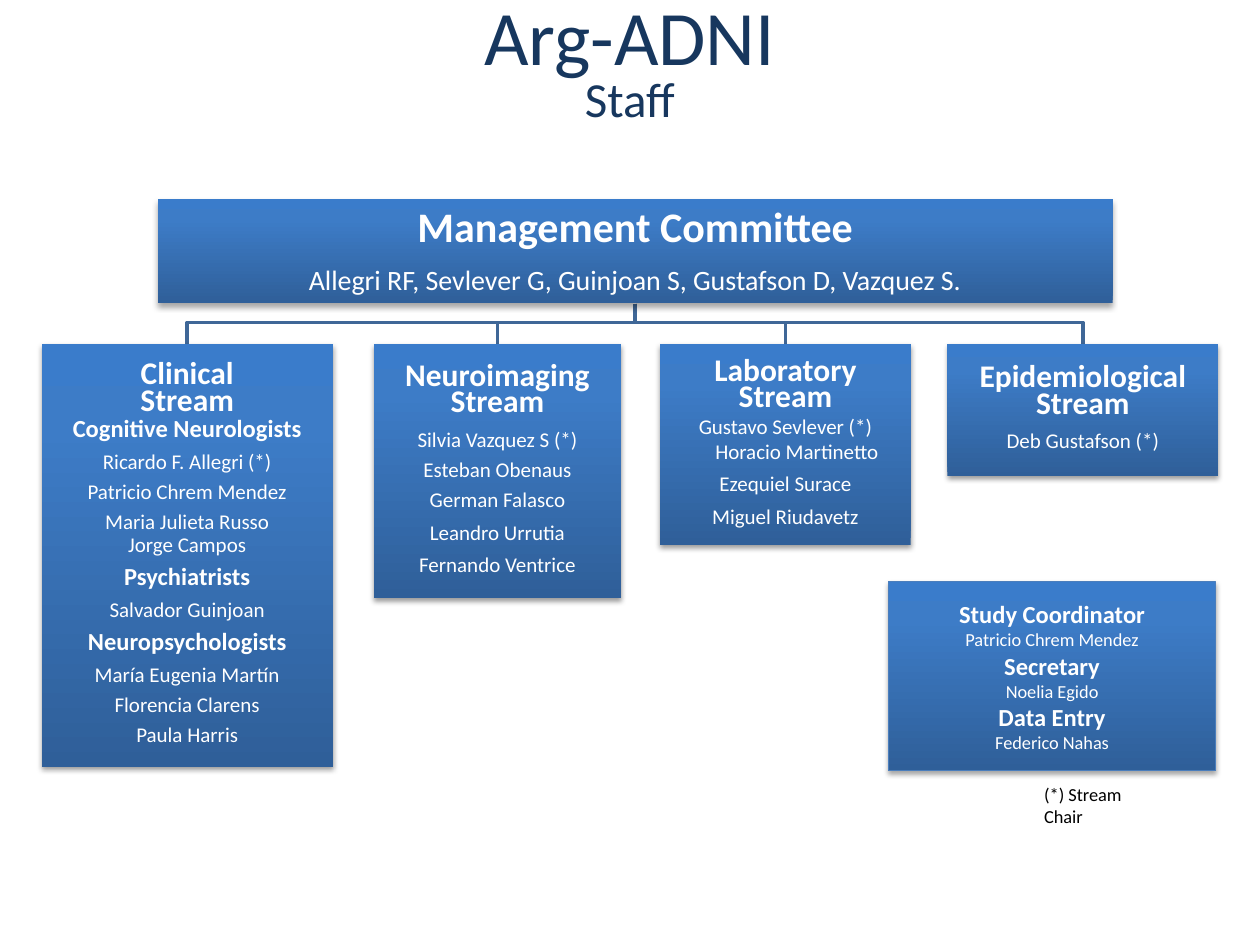
from copy import deepcopy

from lxml import etree
from pptx import Presentation
from pptx.dml.color import RGBColor
from pptx.enum.shapes import MSO_SHAPE
from pptx.enum.text import MSO_ANCHOR, PP_ALIGN
from pptx.oxml.ns import qn
from pptx.util import Cm, Pt

RECT = MSO_SHAPE.RECTANGLE
TOP, MIDDLE = MSO_ANCHOR.TOP, MSO_ANCHOR.MIDDLE
CENTER = PP_ALIGN.CENTER
FONT = "Calibri"
COLORS = {
    "title": "17375E", "text": "FFFFFF", "note": "000000", "branch": "3F6797",
    "border": "4B7EBC", "shadow": "000000",
}
GRADIENT = [(0, "2F5F99"), (0.8, "3D7CC7"), (1, "3A7CCB")]  # bottom to top

# Style: size, bold, line spacing, space after as a share of the size
STYLES = {
    "title": (44, False, 0.8, 0),
    "subtitle": (28, False, 0.8, 0),
    "committee": (24, True, 0.9, 0.35),
    "committee members": (16, False, 0.9, 0.35),
    "stream": (18, True, 0.7, 0.35),
    "stream tight": (18, True, 0.7, 0),
    "group": (14, True, 0.9, 0.35),
    "member": (12, False, 0.9, 0.35),
    "member tight": (12, False, 0.9, 0),
    "member open": (12, False, 1, 0.35),
    "member joined": (12, False, 1, 0),
    "role": (14, True, 1, 0),
    "holder": (10.5, False, 1, 0),
}

# Content: place in cm (left, top, width, height) and (style, text) lines
TITLE = [("title", "Arg-ADNI"), ("subtitle", "Staff")]
COMMITTEE = ((3.18, 4.01, 19.25, 2.11), [
    ("committee", "Management Committee"),
    ("committee members",
     "Allegri RF, Sevlever G, Guinjoan S, Gustafson D, Vazquez S."),
])
STREAM_TOP = 6.93
STREAMS = [
    ((0.84, STREAM_TOP, 5.87, 8.53), [
        ("stream tight", "Clinical"),
        ("stream tight", "Stream"),
        ("group", "Cognitive Neurologists"),
        ("member", "Ricardo F. Allegri (*)"),
        ("member", "Patricio Chrem Mendez"),
        ("member tight", "Maria Julieta Russo"),
        ("member", "Jorge Campos"),
        ("group", "Psychiatrists"),
        ("member", "Salvador Guinjoan"),
        ("group", "Neuropsychologists"),
        ("member", "María Eugenia Martín"),
        ("member", "Florencia Clarens"),
        ("member", "Paula Harris"),
    ]),
    ((7.54, STREAM_TOP, 4.98, 5.13), [
        ("stream", "Neuroimaging Stream"),
        ("member", "Silvia Vazquez S (*)"),
        ("member", "Esteban Obenaus"),
        ("member", "German Falasco"),
        ("member open", "Leandro Urrutia"),
        ("member open", "Fernando Ventrice"),
    ]),
    ((13.31, STREAM_TOP, 5.05, 4.06), [
        ("stream tight", "Laboratory"),
        ("stream tight", "Stream"),
        ("member joined", "Gustavo Sevlever (*)"),
        ("member open", "Horacio Martinetto"),
        ("member open", "Ezequiel Surace"),
        ("member open", "Miguel Riudavetz"),
    ]),
    ((19.1, STREAM_TOP, 5.46, 2.67), [
        ("stream", "Epidemiological Stream"),
        ("member", "Deb Gustafson (*)"),
    ]),
]
SUPPORT = ((17.91, 11.73, 6.6, 3.81), [
    ("role", "Study Coordinator"), ("holder", "Patricio Chrem Mendez"),
    ("role", "Secretary"), ("holder", "Noelia Egido"),
    ("role", "Data Entry"), ("holder", "Federico Nahas"),
])
NOTE = "(*) Stream Chair"
INDENTED = {"Horacio Martinetto": Cm(0.46)}
BUS_Y = 6.5


def rgb(name):
    return RGBColor.from_string(COLORS[name])


def write_lines(frame, lines, color):
    for i, (style, text) in enumerate(lines):
        paragraph = frame.paragraphs[0] if i == 0 else frame.add_paragraph()
        size, bold, spacing, after = STYLES[style]
        paragraph.text = text
        paragraph.alignment = CENTER
        paragraph.line_spacing = spacing
        paragraph.space_before = Pt(0)
        paragraph.space_after = Pt(size * after)
        if text in INDENTED:
            paragraph._p.get_or_add_pPr().set("marL", str(INDENTED[text]))
        font = paragraph.font
        font.name, font.size, font.bold = FONT, Pt(size), bold
        font.color.rgb = rgb(color)


def paint_gradient(fill):
    fill.gradient()
    fill.gradient_angle = 90
    first = fill.gradient_stops[0]._gs
    first.getparent().append(deepcopy(first))
    for stop, (position, color) in zip(fill.gradient_stops, GRADIENT):
        stop.position = position
        stop.color.rgb = RGBColor.from_string(color)


def drop_shadow(shape, alpha, distance):
    shape.shadow.inherit = False
    effects = shape._element.spPr.find(qn("a:effectLst"))
    shadow = etree.SubElement(
        effects, qn("a:outerShdw"), blurRad=str(Pt(3.1)),
        dist=str(Pt(distance)), dir="5400000", rotWithShape="0")
    color = etree.SubElement(shadow, qn("a:srgbClr"), val=COLORS["shadow"])
    etree.SubElement(color, qn("a:alpha"), val=str(alpha * 1000))


def add_box(slide, place, lines, inset, alpha=38, distance=1.6):
    box = slide.shapes.add_shape(RECT, *map(Cm, place))
    paint_gradient(box.fill)
    box.line.fill.background()
    drop_shadow(box, alpha, distance)
    frame = box.text_frame
    frame.word_wrap, frame.vertical_anchor = True, MIDDLE
    if inset is not None:
        frame.margin_left = frame.margin_right = Cm(inset)
        frame.margin_top = frame.margin_bottom = Cm(inset)
    write_lines(frame, lines, "text")
    return box


def add_branch(slide, points):
    start, *rest = [(Cm(x), Cm(y)) for x, y in points]
    builder = slide.shapes.build_freeform(*start)
    builder.add_line_segments(rest, close=False)
    branch = builder.convert_to_shape()
    branch.fill.background()
    branch.line.color.rgb = rgb("branch")
    branch.line.width = Pt(2)
    branch.shadow.inherit = False


def main():
    prs = Presentation()
    prs.slide_width, prs.slide_height = Cm(25.4), Cm(19.05)
    slide = prs.slides.add_slide(prs.slide_layouts[5])

    # Title
    title = slide.shapes.title
    title.left, title.top, title.width, title.height = map(
        Cm, (1.9, 0, 21.59, 3.53))
    title.text_frame.vertical_anchor = TOP
    write_lines(title.text_frame, TITLE, "title")

    # Branches from the committee to each stream
    (left, top, width, height), _ = COMMITTEE
    trunk_x, trunk_y = left + width / 2, top + height
    for (left, top, width, _), _ in STREAMS:
        x = left + width / 2
        add_branch(slide, [(trunk_x, trunk_y), (trunk_x, BUS_Y),
                           (x, BUS_Y), (x, top)])

    # Committee, streams and support staff
    add_box(slide, *COMMITTEE, inset=0.05, alpha=35, distance=1.8)
    for place, lines in STREAMS:
        add_box(slide, place, lines, inset=0.03)
    support = add_box(slide, *SUPPORT, inset=None, alpha=35, distance=1.8)
    support.line.color.rgb = rgb("border")
    support.line.width = Pt(0.75)

    # Footnote
    note = slide.shapes.add_textbox(*map(Cm, (20.8, 15.67, 2.84, 0.74)))
    note.text_frame.word_wrap = True
    paragraph = note.text_frame.paragraphs[0]
    paragraph.text = NOTE
    paragraph.font.name, paragraph.font.size = FONT, Pt(10.5)
    paragraph.font.color.rgb = rgb("note")

    prs.save("out.pptx")


if __name__ == "__main__":
    main()
